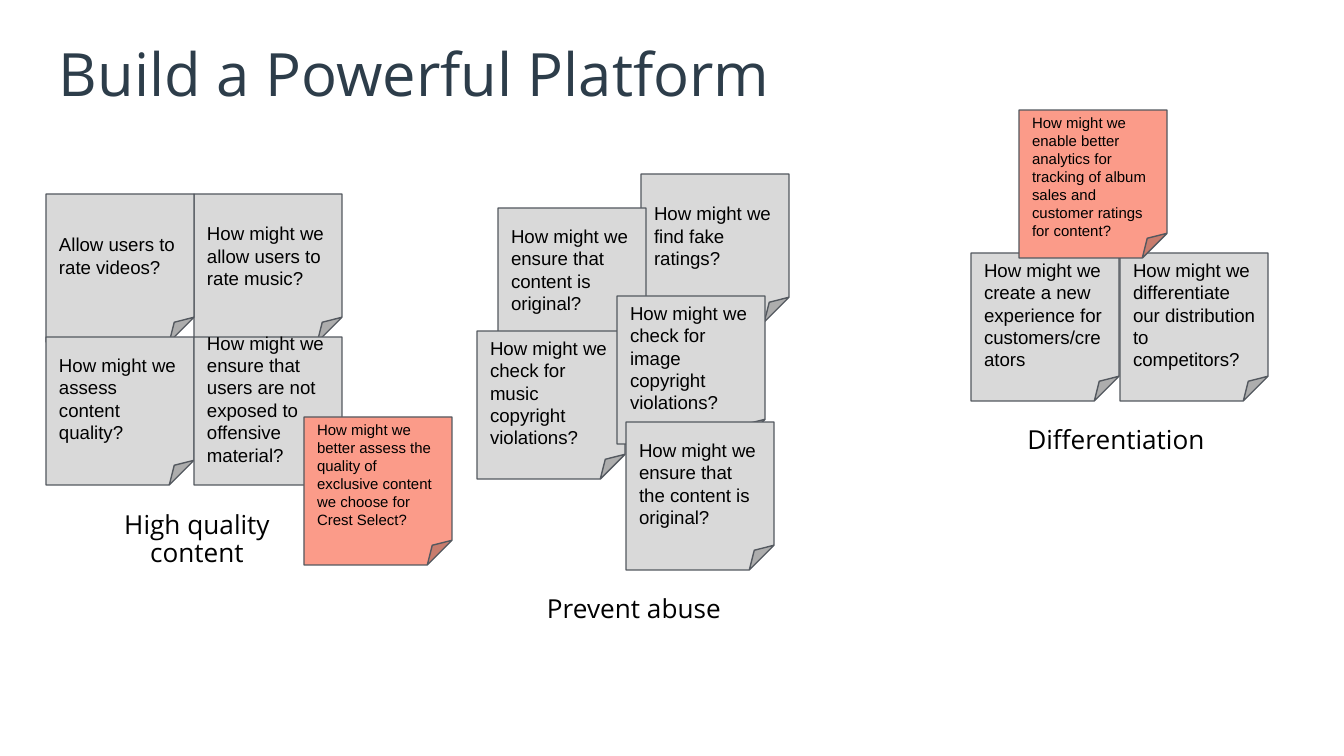
"""Build the slide of sticky notes grouped under three platform goals."""
from pptx import Presentation
from pptx.dml.color import RGBColor
from pptx.enum.shapes import MSO_SHAPE
from pptx.enum.text import MSO_ANCHOR, MSO_AUTO_SIZE, PP_ALIGN
from pptx.util import Pt

SCALE = 914400 / 134.4
COLORS = {"gray": "D9D9D9", "coral": "FB9B89", "edge": "53585F",
          "title": "2D3D4A", "text": "000000"}
NOTE, INSET = 148, 13


def px(n):
    return round(n * SCALE)


def write(shape, text, size, font, color, align, anchor, spacing, top=INSET):
    tf = shape.text_frame
    tf.text = text
    tf.word_wrap = True
    tf.auto_size = MSO_AUTO_SIZE.NONE
    tf.vertical_anchor = anchor
    tf.margin_left = tf.margin_right = tf.margin_bottom = px(INSET)
    tf.margin_top = px(top)
    p = tf.paragraphs[0]
    p.alignment = align
    p.line_spacing = spacing
    r = p.runs[0]
    r.font.size = Pt(size)
    r.font.name = font
    r.font.color.rgb = RGBColor.from_string(COLORS[color])


prs = Presentation()
prs.slide_width, prs.slide_height = px(1344), px(756)
s = prs.slides.add_slide(prs.slide_layouts[5])

title = s.shapes.title
title.left, title.top, title.width, title.height = px(46), px(32), px(1252), px(85)
write(title, "Build a Powerful Platform", 32, "Open Sans", "title",
      PP_ALIGN.LEFT, MSO_ANCHOR.TOP, 0.9)

labels = [
    (993, 414, "Differentiation"),
    (511, 583, "Prevent abuse"),
    (74, 499, "High quality content"),
]
for x, y, text in labels:
    box = s.shapes.add_textbox(px(x), px(y), px(246), px(71))
    write(box, text, 14, "Open Sans", "text", PP_ALIGN.CENTER, MSO_ANCHOR.TOP, 0.9)

notes = [
    (971, 253, "gray", "How might we create a new experience for customers/creators"),
    (1120, 253, "gray", "How might we differentiate our distribution to competitors?"),
    (641, 174, "gray", "How might we find fake ratings?"),
    (498, 208, "gray", "How might we ensure that content is original?"),
    (194, 194, "gray", "How might we allow users to rate music?"),
    (46, 194, "gray", "Allow users to rate videos?"),
    (46, 337, "gray", "How might we assess content quality?"),
    (477, 331, "gray", "How might we check for music copyright violations?"),
    (617, 296, "gray", "How might we check for image copyright violations?"),
    (194, 337, "gray",
     "How might we ensure that users are not exposed to offensive material?"),
    (626, 422, "gray", "How might we ensure that the content is original?"),
    (304, 417, "coral", "How might we better assess the quality of exclusive "
     "content we choose for Crest Select?"),
    (1019, 110, "coral", "How might we enable better analytics for tracking of "
     "album sales and customer ratings for content?"),
]
for x, y, fill, text in notes:
    sp = s.shapes.add_shape(MSO_SHAPE.FOLDED_CORNER, px(x), px(y), px(NOTE), px(NOTE))
    sp.shadow.inherit = False
    sp.fill.solid()
    sp.fill.fore_color.rgb = RGBColor.from_string(COLORS[fill])
    sp.line.color.rgb = RGBColor.from_string(COLORS["edge"])
    sp.line.width = Pt(0.75)
    if fill == "coral":
        write(sp, text, 8, "Arial", "text", PP_ALIGN.LEFT, MSO_ANCHOR.TOP, 1.0, 4)
    else:
        write(sp, text, 10, "Arial", "text", PP_ALIGN.LEFT, MSO_ANCHOR.MIDDLE, 1.0)

prs.save("out.pptx")
